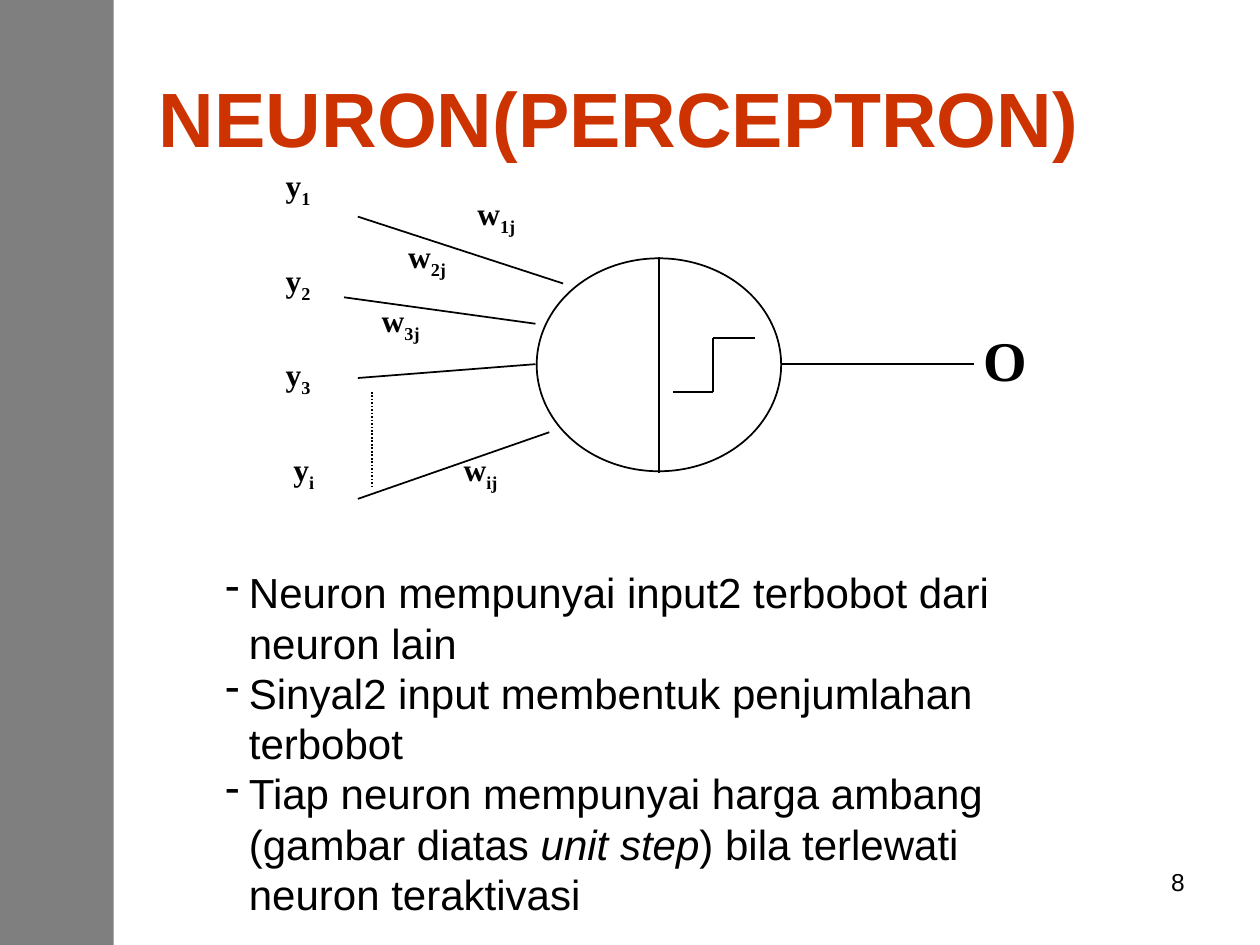
"""Build the NEURON(PERCEPTRON) slide with its diagram and explanation."""
from typing import NamedTuple

from lxml.etree import SubElement
from pptx import Presentation
from pptx.dml.color import RGBColor
from pptx.enum.dml import MSO_LINE_DASH_STYLE as Dash
from pptx.enum.shapes import MSO_CONNECTOR as Connector, MSO_SHAPE as Preset
from pptx.enum.text import MSO_ANCHOR as Anchor, PP_ALIGN as Align
from pptx.oxml.ns import qn
from pptx.util import Pt

BLACK = RGBColor(0x00, 0x00, 0x00)
WHITE = RGBColor(0xFF, 0xFF, 0xFF)
RED = RGBColor(0xCC, 0x33, 0x00)
SANS, SERIF = "Arial", "Times New Roman"


class Box(NamedTuple):
    left: float
    top: float
    width: float
    height: float


class Style(NamedTuple):
    size: float
    family: str = SANS
    color: RGBColor = BLACK
    bold: bool = False


class Label(NamedTuple):
    letter: str
    index: str
    left: float
    top: float


class Wire(NamedTuple):
    x1: float
    y1: float
    x2: float
    y2: float
    dash: Dash = Dash.SOLID


LABEL_STYLE = Style(18, SERIF, bold=True)
BODY_STYLE = Style(24)

INPUTS = [Label("y", str(n + 1), 156.2, 91.4 + 54 * n) for n in range(3)]
INPUTS.append(Label("y", "i", 160.6, 253.4))
WEIGHTS = [
    Label("w", "1j", 265.7, 107.3),
    Label("w", "2j", 226.1, 131.8),
    Label("w", "3j", 211, 168.5),
    Label("w", "ij", 257.8, 253.4),
]
WIRES = [
    Wire(321.8, 162, 204.5, 123.8),
    Wire(306, 185, 196.6, 169.9),
    Wire(306, 208.1, 204.5, 216),
    Wire(313.9, 247, 204.5, 285.1),
    Wire(212.4, 223.9, 212.4, 277.9, Dash.ROUND_DOT),
    Wire(376.6, 146.9, 376.6, 270),
    Wire(447.1, 208.1, 556.6, 208.1),
    Wire(431.3, 193, 407.5, 193),
    Wire(407.5, 193, 407.5, 223.9),
    Wire(407.5, 223.9, 384.5, 223.9),
]
POINTS = [
    [("Neuron mempunyai input2 terbobot dari neuron lain", False)],
    [("Sinyal2 input membentuk penjumlahan terbobot", False)],
    [
        ("Tiap neuron mempunyai harga ambang (gambar diatas ", False),
        ("unit step", True),
        (") bila terlewati neuron teraktivasi", False),
    ],
]


def set_font(paragraph, style: Style) -> None:
    font = paragraph.font
    font.size, font.name, font.bold = Pt(style.size), style.family, style.bold
    font.color.rgb = style.color


def add_frame(slide, box: Box):
    frame = slide.shapes.add_textbox(*map(Pt, box)).text_frame
    frame.word_wrap = True
    return frame


def add_text(slide, box: Box, text: str, style: Style, align=Align.LEFT):
    frame = add_frame(slide, box)
    paragraph = frame.paragraphs[0]
    paragraph.text, paragraph.alignment = text, align
    set_font(paragraph, style)
    return frame


def add_label(slide, label: Label) -> None:
    frame = add_text(slide, Box(label.left, label.top, 58, 46), label.letter, LABEL_STYLE)
    index = frame.paragraphs[0].add_run()
    index.text = label.index
    index.font._element.set("baseline", "-25000")


def add_wire(slide, wire: Wire) -> None:
    connector = slide.shapes.add_connector(Connector.STRAIGHT, *map(Pt, wire[:4]))
    connector.line.color.rgb = BLACK
    connector.line.width = Pt(1)
    connector.line.dash_style = wire.dash
    SubElement(connector._element.spPr, qn("a:effectLst"))


def add_filled(slide, preset: Preset, box: Box, color: RGBColor):
    shape = slide.shapes.add_shape(preset, *map(Pt, box))
    shape.shadow.inherit = False
    shape.fill.solid()
    shape.fill.fore_color.rgb = color
    return shape


def add_points(slide, box: Box) -> None:
    frame = add_frame(slide, box)
    frame.margin_right = Pt(24)
    for number, parts in enumerate(POINTS):
        paragraph = frame.add_paragraph() if number else frame.paragraphs[0]
        paragraph.line_spacing = Pt(28.75)
        properties = paragraph._p.get_or_add_pPr()
        properties.set("marL", str(Pt(13.5)))
        properties.set("indent", str(-Pt(13.5)))
        SubElement(properties, qn("a:buChar")).set("char", "-")
        set_font(paragraph, BODY_STYLE)
        for text, italic in parts:
            run = paragraph.add_run()
            run.text, run.font.italic = text, italic


def main() -> None:
    deck = Presentation()
    deck.slide_width, deck.slide_height = Pt(720), Pt(540)
    slide = deck.slides.add_slide(deck.slide_layouts[6])

    sidebar = add_filled(slide, Preset.RECTANGLE, Box(0, 0, 65, 540), BLACK)
    sidebar.line.fill.background()
    tint = sidebar._element.spPr.find(f".//{qn('a:srgbClr')}")
    SubElement(tint, qn("a:alpha")).set("val", "50000")

    title = add_text(slide, Box(36, 21.6, 648, 90), "NEURON(PERCEPTRON) ",
                     Style(44, color=RED, bold=True), Align.CENTER)
    title.vertical_anchor = Anchor.MIDDLE
    add_text(slide, Box(516, 492, 168, 37.5), "8", Style(14), Align.RIGHT)

    neuron = add_filled(slide, Preset.OVAL, Box(306.7, 147.6, 139.7, 121.7), WHITE)
    neuron.line.color.rgb = BLACK
    neuron.line.width = Pt(1)
    for wire in WIRES:
        add_wire(slide, wire)
    for label in WEIGHTS + INPUTS:
        add_label(slide, label)
    add_text(slide, Box(555, 182.2, 51, 58.3), "O", Style(32, SERIF, bold=True))

    add_points(slide, Box(121.7, 320.4, 525.6, 208.8))
    deck.save("out.pptx")


if __name__ == "__main__":
    main()
